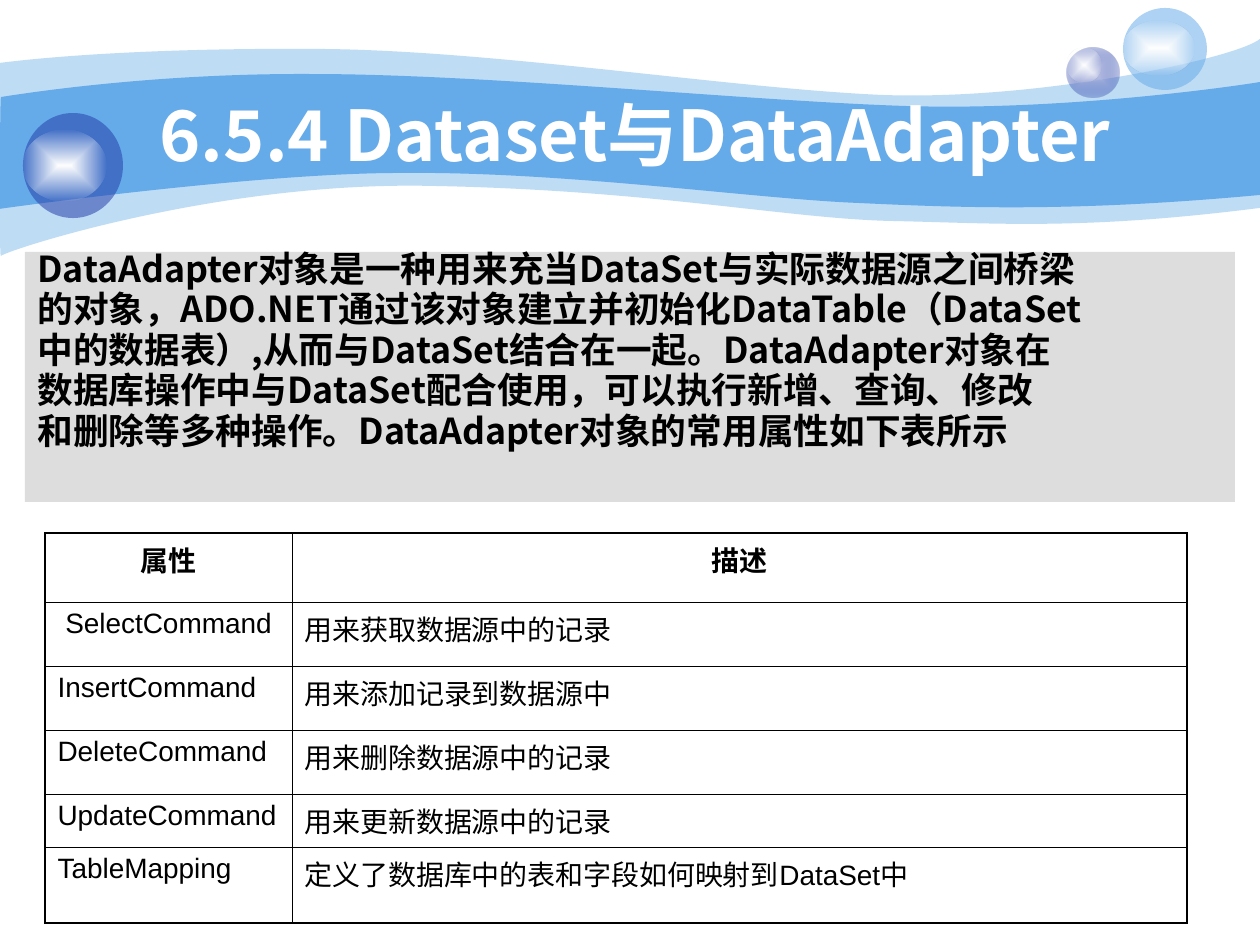
import pptx
import pptx.dml.color
import pptx.enum.shapes
import pptx.enum.text
import pptx.oxml
import pptx.oxml.ns
import pptx.util

RGB = pptx.dml.color.RGBColor
ALIGN = pptx.enum.text.PP_ALIGN
ANCHOR = pptx.enum.text.MSO_ANCHOR
OVAL = pptx.enum.shapes.MSO_SHAPE.OVAL
RECTANGLE = pptx.enum.shapes.MSO_SHAPE.RECTANGLE

PX = 914400 / 126
WHITE = RGB(0xFF, 0xFF, 0xFF)
BLACK = RGB(0x00, 0x00, 0x00)
SKY = RGB(0x65, 0xAA, 0xE9)
NAVY = RGB(0x23, 0x3D, 0xA9)
LAVENDER = RGB(0xC6, 0xCC, 0xE8)
GREY = RGB(0xDD, 0xDD, 0xDD)
CJK_FONT = "Noto Sans CJK SC"
NS = pptx.oxml.ns.nsdecls("a")


def paint(shape, *stops):
    """Fill with one (colour, opacity %) or a centred gradient of two."""
    shape.shadow.inherit = False
    shape.line.fill.background()
    colours = [f'<a:srgbClr val="{colour}"><a:alpha val="{opacity * 1000}"/></a:srgbClr>'
               for colour, opacity in stops]
    if len(stops) == 1:
        fill = f"<a:solidFill {NS}>{colours[0]}</a:solidFill>"
    else:
        fill = (f'<a:gradFill {NS} rotWithShape="1"><a:gsLst><a:gs pos="0">{colours[0]}</a:gs>'
                f'<a:gs pos="100000">{colours[1]}</a:gs></a:gsLst><a:path path="rect">'
                '<a:fillToRect l="50000" t="50000" r="50000" b="50000"/></a:path></a:gradFill>')
    shape.fill.background()
    properties = shape._element.spPr
    no_fill = properties.find(pptx.oxml.ns.qn("a:noFill"))
    properties.replace(no_fill, pptx.oxml.parse_xml(fill))


def write(frame, text, size, font, colour=BLACK, bold=False, align=ALIGN.LEFT,
          anchor=ANCHOR.TOP, line_spacing=None, space_before=0, hanging=0):
    frame.word_wrap = True
    frame.vertical_anchor = anchor
    frame.text = text
    for number, paragraph in enumerate(frame.paragraphs):
        paragraph.alignment = align
        if line_spacing:
            paragraph.line_spacing = line_spacing
        if number:
            paragraph.space_before = pptx.util.Pt(space_before)
        if hanging:
            paragraph._p.get_or_add_pPr().set("marL", str(round(hanging * PX)))
            paragraph._p.get_or_add_pPr().set("indent", str(-round(hanging * PX)))
        for run in paragraph.runs:
            run.font.size = pptx.util.Pt(size)
            run.font.name = font
            run.font.bold = bold
            run.font.color.rgb = colour
            run.font._element.find(pptx.oxml.ns.qn("a:latin")).addnext(
                pptx.oxml.parse_xml(f'<a:ea {NS} typeface="{CJK_FONT}"/>'))


deck = pptx.Presentation()
deck.slide_width = round(1260 * PX)
deck.slide_height = round(945 * PX)
slide = deck.slides.add_slide(deck.slide_layouts[5])
shapes = slide.shapes

# Wave bands: start point, then cubic curves (6 numbers) and lines (2 numbers)
waves = [
    (41, (0, 63), [(30, 59, 135, 48, 311, 49), (486, 49, 725, 88, 881, 95),
                   (1036, 101, 1235, 59, 1260, 39), (1260, 208),
                   (1079, 231, 992, 223, 888, 221), (784, 218, 649, 190, 432, 186),
                   (217, 181, 5, 251, 1, 256), (-1, 262, 0, 95, 0, 63)]),
    (100, (1, 97), [(3, 97, 139, 73, 312, 74), (486, 74, 750, 101, 905, 106),
                    (1060, 111, 1230, 87, 1260, 82), (1260, 195),
                    (1075, 212, 964, 208, 859, 203), (755, 199, 563, 171, 399, 173),
                    (256, 173, -3, 209, -1, 209), (0, 209, 0, 97, 1, 97)]),
]
for opacity, start, segments in waves:
    corners = [start] + [segment[-2:] for segment in segments]
    left = min(x for x, y in corners)
    top = min(y for x, y in corners)
    builder = shapes.build_freeform(*start, scale=PX)
    builder.add_line_segments(corners[1:], close=True)
    band = builder.convert_to_shape()
    # Bend the straight sides into their curves
    sides = list(band._element.iter(pptx.oxml.ns.qn("a:lnTo")))
    for side, segment in zip(sides, segments):
        if len(segment) == 6:
            controls = "".join(f'<a:pt x="{x - left}" y="{y - top}"/>'
                               for x, y in zip(segment[::2], segment[1::2]))
            side.getparent().replace(side, pptx.oxml.parse_xml(
                f"<a:cubicBezTo {NS}>{controls}</a:cubicBezTo>"))
    paint(band, (SKY, opacity))

# Bubbles, each a ball with a soft highlight
shine = [(WHITE, 100), (WHITE, 0)]
bubbles = [
    ((1067, 48, 53, 50), [(LAVENDER, 100), (NAVY, 31)], (1067, 48, 35, 34)),
    ((1123, 8, 84, 82), [(SKY, 53)], (1123, 21, 71, 54)),
    ((23, 113, 100, 105), [(NAVY, 53)], (23, 130, 83, 71)),
]
for ball, ball_stops, highlight in bubbles:
    bubble = shapes.add_group_shape()
    for place, stops in ((ball, ball_stops), (highlight, shine)):
        paint(bubble.shapes.add_shape(OVAL, *(round(v * PX) for v in place)), *stops)

# Title, brought in front of the bands
title = shapes.title
title.left, title.top, title.width, title.height = (round(v * PX) for v in (126, 95, 1018, 78))
title.text_frame.auto_size = pptx.enum.text.MSO_AUTO_SIZE.NONE
write(title.text_frame, "6.5.4 Dataset与DataAdapter", size=40, font=CJK_FONT, colour=WHITE,
      bold=True, align=ALIGN.CENTER, anchor=ANCHOR.MIDDLE)
shapes._spTree.append(title._element)

# Introduction
intro = shapes.add_shape(RECTANGLE, *(round(v * PX) for v in (25, 252, 1210, 250)))
paint(intro, (GREY, 100))
intro_lines = [
    "DataAdapter对象是一种用来充当DataSet与实际数据源之间桥梁",
    "的对象，ADO.NET通过该对象建立并初始化DataTable（DataSet",
    "中的数据表）,从而与DataSet结合在一起。DataAdapter对象在",
    "数据库操作中与DataSet配合使用，可以执行新增、查询、修改",
    "和删除等多种操作。DataAdapter对象的常用属性如下表所示",
]
write(intro.text_frame, "\n".join(intro_lines), size=20.4, font=CJK_FONT, bold=True,
      line_spacing=0.7, space_before=6, hanging=48)

# Property table
properties = [
    ("属性", "描述"),
    ("SelectCommand", "用来获取数据源中的记录"),
    ("InsertCommand", "用来添加记录到数据源中"),
    ("DeleteCommand", "用来删除数据源中的记录"),
    ("UpdateCommand", "用来更新数据源中的记录"),
    ("TableMapping", "定义了数据库中的表和字段如何映射到DataSet中"),
]
column_widths = [247, 895]
row_heights = [69, 64, 64, 64, 49, 76]
table = shapes.add_table(len(row_heights), len(column_widths), round(45 * PX), round(533 * PX),
                         round(sum(column_widths) * PX), round(sum(row_heights) * PX)).table
table.first_row = False
table.horz_banding = False
for column, width in zip(table.columns, column_widths):
    column.width = round(width * PX)
for row, height in zip(table.rows, row_heights):
    row.height = round(height * PX)

last_row, last_column = len(row_heights) - 1, len(column_widths) - 1
for r, entries in enumerate(properties):
    for c, entry in enumerate(entries):
        cell = table.cell(r, c)
        centred = r == 0 or (r, c) == (1, 0)
        write(cell.text_frame, entry, size=16, font="Arial", bold=r == 0,
              align=ALIGN.CENTER if centred else ALIGN.LEFT)
        cell.fill.background()
        outer_sides = {"L": c == 0, "R": c == last_column, "T": r == 0, "B": r == last_row}
        for position, (side, outer) in enumerate(outer_sides.items()):
            width = pptx.util.Pt(1.08 if outer else 0.45)
            cell._tc.tcPr.insert(position, pptx.oxml.parse_xml(
                f'<a:ln{side} {NS} w="{width}"><a:solidFill><a:srgbClr val="{BLACK}"/>'
                f'</a:solidFill></a:ln{side}>'))

deck.save("out.pptx")
